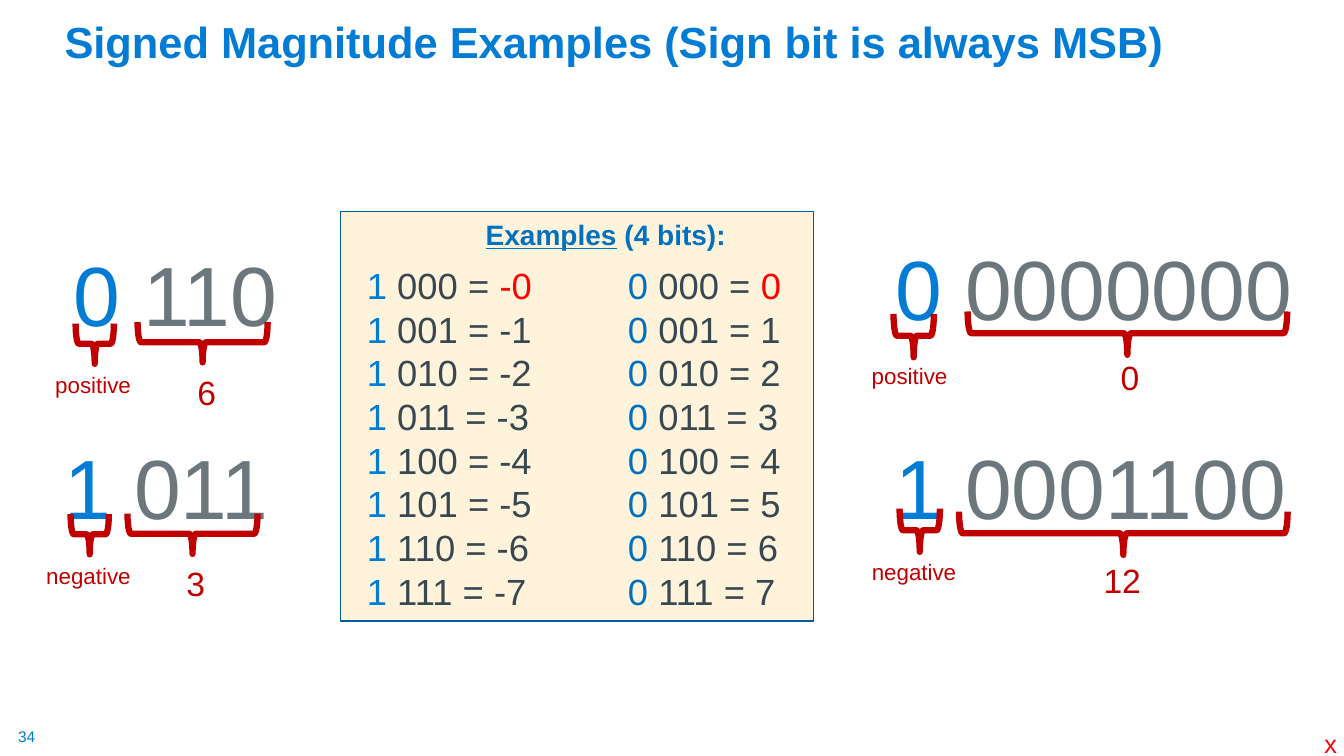
from pptx import Presentation
from pptx.dml.color import RGBColor
from pptx.enum.shapes import MSO_SHAPE as Preset
from pptx.enum.text import MSO_ANCHOR as Anchor, MSO_AUTO_SIZE as AutoSize, PP_ALIGN as Align
from pptx.util import Pt

FONT = "Arial"
BLUE, DARK_BLUE, GRAY, SLATE = "007CD5", "0070C0", "6B767D", "384851"
CRIMSON, RED = "C00000", "FF0000"

NUMBERS = [
    {"sign": "0", "bits": "110", "bits_box": (44.64, 169.92, 161.28, 80),
     "sign_brace": (54, 231.12, 27.36, 28.8), "bits_brace": (98.28, 230.04, 92.88, 28.8),
     "label_box": (32.4, 261.36, 69.12, 26.64),
     "value": "6", "value_box": (133.92, 262.08, 28.08, 36)},
    {"sign": "1", "bits": "011", "bits_box": (38.16, 307.44, 161.28, 80),
     "sign_brace": (50.4, 367.2, 27.36, 28.8), "bits_brace": (91.08, 366.84, 92.88, 28.8),
     "label_box": (25.92, 398.16, 75.6, 26.64),
     "value": "3", "value_box": (126, 398.88, 28.08, 36)},
    {"sign": "0", "bits": "0000000", "bits_box": (630.72, 165.6, 300.96, 80),
     "sign_brace": (638.28, 224.28, 28.8, 30.96), "bits_brace": (691.2, 222.48, 228.24, 30.96),
     "label_box": (615.6, 254.88, 69.12, 26.64),
     "value": "0", "value_box": (793.44, 251.28, 28.08, 36)},
    {"sign": "1", "bits": "0001100", "bits_box": (630.72, 307.44, 296.64, 80),
     "sign_brace": (642.6, 363.24, 28.8, 30.96), "bits_brace": (685.08, 365.4, 234.72, 30.96),
     "label_box": (615.6, 395.28, 75.6, 26.64),
     "value": "12", "value_box": (781.2, 396.72, 41.76, 36)},
]


def color(hex_string):
    return RGBColor.from_string(hex_string)


def format_run(run, size, hex_color, bold=False, underline=False):
    font = run.font
    font.name, font.size = FONT, Pt(size)
    font.bold, font.underline = bold, underline
    font.color.rgb = color(hex_color)


def add_text(slide, box, lines, size, align=Align.LEFT, inset=None, bold=False):
    frame = slide.shapes.add_textbox(*map(Pt, box)).text_frame
    frame.word_wrap = False
    frame.auto_size = AutoSize.SHAPE_TO_FIT_TEXT
    if inset is not None:
        frame.margin_left = frame.margin_right = Pt(inset)
        frame.margin_top = frame.margin_bottom = Pt(inset)
    for index, pieces in enumerate(lines):
        paragraph = frame.add_paragraph() if index else frame.paragraphs[0]
        paragraph.alignment = align
        for text, hex_color, *underline in pieces:
            run = paragraph.add_run()
            run.text = text
            format_run(run, size, hex_color, bold, bool(underline))


def add_title(slide, text):
    title = slide.shapes.title
    title.left, title.top, title.width, title.height = map(Pt, (38.88, 12.24, 828, 39.6))
    frame = title.text_frame
    frame.text = text
    frame.auto_size = AutoSize.NONE
    frame.vertical_anchor = Anchor.BOTTOM
    paragraph = frame.paragraphs[0]
    paragraph.alignment = Align.LEFT
    paragraph.line_spacing = 0.9
    format_run(paragraph.runs[0], 31, BLUE, bold=True)


def add_panel(slide, box):
    panel = slide.shapes.add_shape(Preset.RECTANGLE, *map(Pt, box))
    panel.shadow.inherit = False
    panel.fill.solid()
    panel.fill.fore_color.rgb = color("FFF4DB")
    panel.line.color.rgb = color("005C9E")
    panel.line.width = Pt(1)


def add_brace(slide, left, top, width, height):
    offset = (width - height) / 2
    frame = (left + offset, top - offset, height, width)
    brace = slide.shapes.add_shape(Preset.LEFT_BRACE, *map(Pt, frame))
    brace.rotation = 270
    brace.shadow.inherit = False
    brace.fill.background()
    brace.line.color.rgb = color(CRIMSON)
    brace.line.width = Pt(4.5)


def add_number(slide, number):
    sign = number["sign"]
    label = "negative" if sign == "1" else "positive"
    digits = [(sign, BLUE), (" " + number["bits"], GRAY)]
    add_text(slide, number["bits_box"], [digits], 60, Align.CENTER)
    add_brace(slide, *number["sign_brace"])
    add_text(slide, number["label_box"], [[(label, CRIMSON)]], 16)
    add_brace(slide, *number["bits_brace"])
    add_text(slide, number["value_box"], [[(number["value"], CRIMSON)]], 24)


def add_examples(slide, box, sign, sign_color, prefix):
    lines = [[(f"{sign} ", sign_color), (f"{value:03b} = ", SLATE),
              (f"{prefix}{value}", SLATE if value else RED)] for value in range(8)]
    add_text(slide, box, lines, 26, inset=4.32)


def main():
    presentation = Presentation()
    presentation.slide_width, presentation.slide_height = Pt(960), Pt(540)
    slide = presentation.slides.add_slide(presentation.slide_layouts[5])
    add_text(slide, (12.96, 519.12, 13.68, 13.68), [[("34", BLUE)]], 11, inset=0)
    add_panel(slide, (243.36, 151.2, 337.68, 292.32))
    add_title(slide, "Signed Magnitude Examples (Sign bit is always MSB)")
    for number in NUMBERS:
        add_number(slide, number)
    add_examples(slide, (257.76, 183.6, 134.64, 259.92), "1", BLUE, "-")
    add_examples(slide, (444.24, 183.6, 118.8, 259.92), "0", DARK_BLUE, "")
    heading = [("Examples", DARK_BLUE, True), (" (4 bits):", DARK_BLUE)]
    add_text(slide, (339.84, 151.92, 192.96, 31.68), [heading], 20, bold=True)
    add_text(slide, (938.88, 516.96, 23.76, 28.8), [[("x", RED)]], 18)
    presentation.save("out.pptx")


if __name__ == "__main__":
    main()
